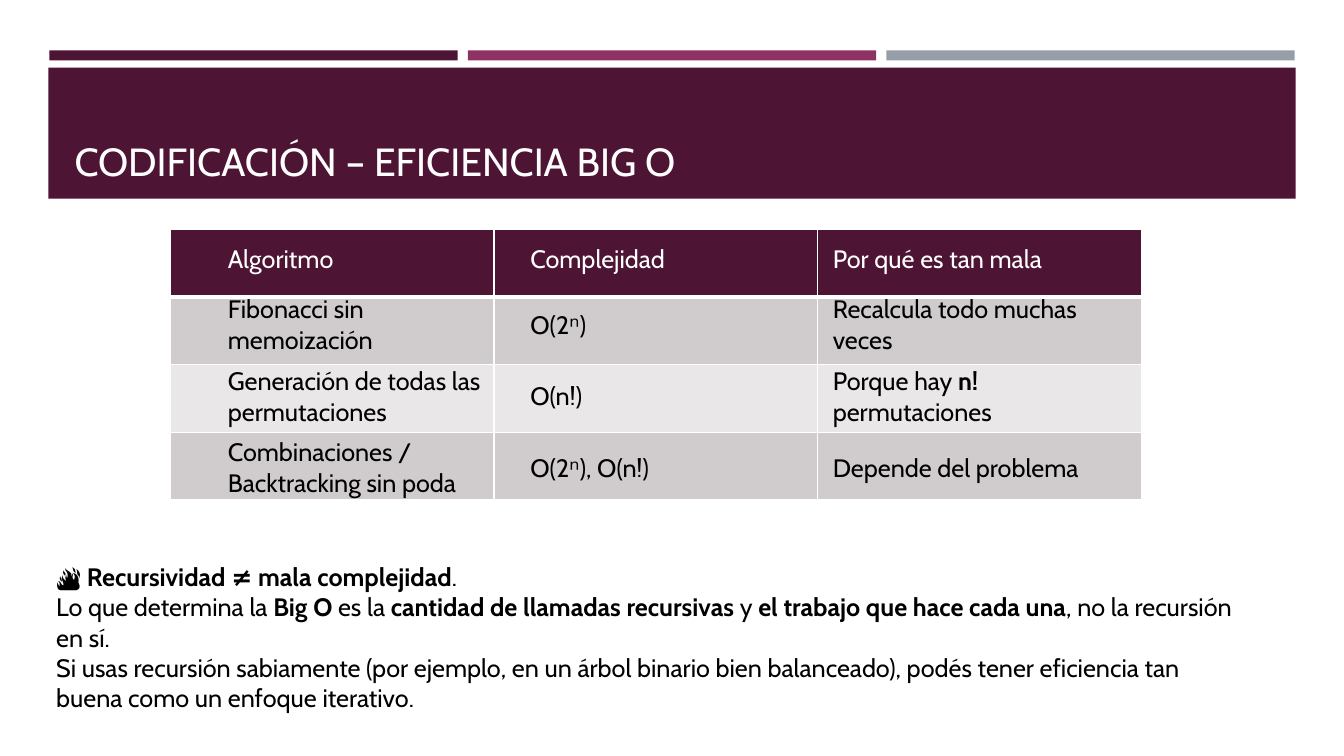
import pptx
import pptx.dml.color
import pptx.enum.shapes
import pptx.enum.text
import pptx.oxml.ns
import pptx.util
from lxml import etree
from pptx.util import Inches

FONT = "Cabin"
COLORS = {"plum": "4D1434", "pink": "903163", "steel": "969FA7", "white": "FFFFFF",
          "black": "000000", "dark": "D0CCCE", "light": "E9E7E8"}
PLAIN = "{2D5ABB26-0587-4C30-8999-92F81FD0307C}"  # table style with no fill and no grid
ANCHOR = pptx.enum.text.MSO_ANCHOR

TITLE = "CODIFICACIÓN – EFICIENCIA BIG O"
CELLS = [
    ["Algoritmo", "Complejidad", "Por qué es tan mala"],
    ["Fibonacci sin memoización", "O(2ⁿ)", "Recalcula todo muchas veces"],
    ["Generación de todas las permutaciones", "O(n!)", "Porque hay **n!** permutaciones"],
    ["Combinaciones / Backtracking sin poda", "O(2ⁿ), O(n!)", "Depende del problema"],
]
NOTES = [
    "🔥 **Recursividad ≠ mala complejidad**.",
    "Lo que determina la **Big O** es la **cantidad de llamadas recursivas** y "
    "**el trabajo que hace cada una**, no la recursión en sí.",
    "Si usas recursión sabiamente (por ejemplo, en un árbol binario bien balanceado), "
    "podés tener eficiencia tan buena como un enfoque iterativo.",
]


def rgb(name):
    return pptx.dml.color.RGBColor.from_string(COLORS[name])


def write(frame, lines, size=18, color="black", anchor=ANCHOR.TOP):
    """Fill a text frame with one paragraph a line; **marks** make bold runs."""
    frame.word_wrap = True
    frame.vertical_anchor = anchor
    for i, line in enumerate(lines):
        para = frame.add_paragraph() if i else frame.paragraphs[0]
        para.alignment = pptx.enum.text.PP_ALIGN.LEFT
        for j, part in enumerate(line.split("**")):
            run = para.add_run()
            run.text = part
            run.font.name = FONT
            run.font.size = pptx.util.Pt(size)
            run.font.bold = j % 2 == 1
            run.font.color.rgb = rgb(color)


def add_bar(slide, left, top, width, height, color):
    bar = slide.shapes.add_shape(pptx.enum.shapes.MSO_SHAPE.RECTANGLE, Inches(left),
                                 Inches(top), Inches(width), Inches(height))
    bar.shadow.inherit = False
    bar.fill.solid()
    bar.fill.fore_color.rgb = rgb(color)
    bar.line.fill.background()


def add_title(slide, text):
    title = slide.shapes.title
    title.left, title.top = Inches(0.64), Inches(0.77)
    title.width, title.height = Inches(12.06), Inches(1.11)
    write(title.text_frame, [text], size=28, color="white", anchor=ANCHOR.BOTTOM)


def add_table(slide, left, top, col, row):
    """Add an unstyled table the shape of CELLS, with equal columns and rows."""
    rows, cols = len(CELLS), len(CELLS[0])
    frame = slide.shapes.add_table(rows, cols, Inches(left), Inches(top),
                                   Inches(col * cols), Inches(row * rows))
    table = frame.table
    table.first_row = table.horz_banding = False
    next(frame.element.iter(pptx.oxml.ns.qn("a:tableStyleId"))).text = PLAIN
    for column in table.columns:
        column.width = Inches(col)
    for line in table.rows:
        line.height = Inches(row)
    return table


def add_edges(cell, **widths):
    """Draw white cell borders, given in points by side: L, R, T, B."""
    props = cell._tc.get_or_add_tcPr()
    for side, width in widths.items():
        line = etree.SubElement(props, pptx.oxml.ns.qn(f"a:ln{side}"),
                                w=str(pptx.util.Pt(width)))
        fill = etree.SubElement(line, pptx.oxml.ns.qn("a:solidFill"))
        etree.SubElement(fill, pptx.oxml.ns.qn("a:srgbClr"), val=COLORS["white"])


def add_grid(slide):
    """Add the coloured table that lies behind the words."""
    table = add_table(slide, 1.69, 2.28, 3.21, 0.67)
    for i, color in enumerate(["plum", "dark", "light", "dark"]):
        for cell in table.rows[i].cells:
            add_edges(cell, L=1, R=1, T=3 if i == 1 else 1, B=3 if i == 0 else 1)
            cell.fill.solid()
            cell.fill.fore_color.rgb = rgb(color)


def add_words(slide):
    """Add the clear table that holds the words."""
    table = add_table(slide, 2.16, 2.28, 3, 0.59)
    for i, line in enumerate(CELLS):
        for j, text in enumerate(line):
            cell = table.cell(i, j)
            cell.fill.background()
            cell.vertical_anchor = ANCHOR.MIDDLE
            write(cell.text_frame, [text], color="black" if i else "white",
                  anchor=ANCHOR.MIDDLE)


def add_notes(slide):
    box = slide.shapes.add_textbox(Inches(0.46), Inches(5.52), Inches(11.87), Inches(1.62))
    write(box.text_frame, NOTES)
    box.text_frame.auto_size = pptx.enum.text.MSO_AUTO_SIZE.SHAPE_TO_FIT_TEXT


def main():
    deck = pptx.Presentation()
    deck.slide_width, deck.slide_height = Inches(13.33), Inches(7.5)
    slide = deck.slides.add_slide(deck.slide_layouts.get_by_name("Title Only"))
    for i, color in enumerate(["plum", "pink", "steel"]):
        add_bar(slide, 0.49 + 4.15 * i, 0.5, 4.05, 0.1, color)
    add_bar(slide, 0.48, 0.67, 12.37, 1.3, "plum")
    add_title(slide, TITLE)
    # Bring the title in front of its band
    slide.shapes.element.append(slide.shapes.title.element)
    add_grid(slide)
    add_words(slide)
    add_notes(slide)
    deck.save("out.pptx")


if __name__ == "__main__":
    main()
